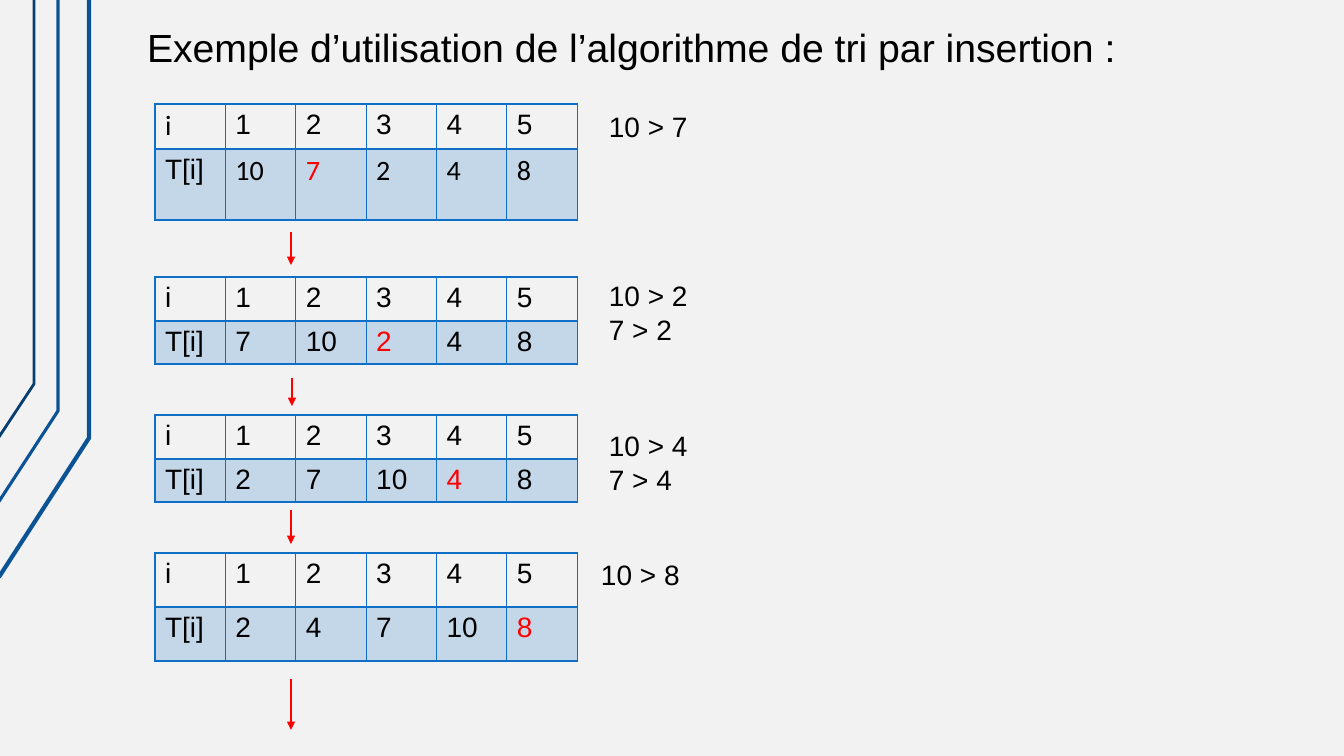
from pptx import Presentation
from pptx.dml.color import RGBColor
from pptx.enum.shapes import MSO_CONNECTOR
from pptx.enum.text import MSO_ANCHOR, PP_ALIGN
from pptx.oxml.ns import qn
from pptx.util import Emu, Pt
from lxml import etree

SCALE = 9071  # EMU per pixel
LEFT = PP_ALIGN.LEFT
TOP = MSO_ANCHOR.TOP
STRAIGHT = MSO_CONNECTOR.STRAIGHT

BLACK, RED, BLUE = "000000", "FF0000", "0F6FC6"
NAVY, DARK, PAPER = "0B5394", "083E6F", "F2F2F2"
COL = 70.4  # table column width

# Outer, middle and inner rail: points, colour, width
RAILS = [
    ([(-1, 577), (89, 438), (89, 0)], NAVY, 3),
    ([(-2, 503), (58, 411), (58, 0)], NAVY, 2.25),
    ([(-1, 437), (34, 384), (34, 0)], DARK, 2),
]
# Each step: table top, row heights, values, column of the key
STEPS = [
    (104, (45, 71), (10, 7, 2, 4, 8), 2),
    (277, (44, 43), (7, 10, 2, 4, 8), 3),
    (415, (44, 43), (2, 7, 10, 4, 8), 4),
    (553, (54, 54), (2, 4, 7, 10, 8), 5),
]
# Each note: box, lines
NOTES = [
    ((599, 105, 313, 194), ["10 > 7"]),
    ((599, 274, 256, 173), ["10 > 2", "7 > 2"]),
    ((599, 424, 217, 173), ["10 > 4", "7 > 4"]),
    ((591, 553, 186, 92), ["10 > 8"]),
]
# Each arrow: x, top, bottom
ARROWS = [(291, 232, 265), (292, 378, 406), (291, 510, 544), (291, 679, 730)]


def px(num):
    """Turn pixels into EMU."""
    return Emu(round(num * SCALE))


def rgb(code):
    """Turn a hex string into a colour."""
    return RGBColor.from_string(code)


def write(frame, lines, size=20, font="Arial", color=BLACK, space=None):
    """Fill a text frame with one paragraph per line."""
    frame.word_wrap = True
    for num, line in enumerate(lines):
        para = frame.paragraphs[0] if num == 0 else frame.add_paragraph()
        para.alignment = LEFT
        para.line_spacing = space
        run = para.add_run()
        run.text = line
        run.font.size = Pt(size)
        run.font.name = font
        run.font.color.rgb = rgb(color)


def head(slide, text):
    """Place and write the title."""
    title = slide.shapes.title
    title.left, title.top, title.width, title.height = map(
        px, (134, 22, 1142, 657))
    frame = title.text_frame
    frame.margin_left = frame.margin_right = px(13)
    frame.margin_top = frame.margin_bottom = px(7)
    frame.vertical_anchor = TOP
    write(frame, [text], size=28, space=0.9)


def rail(slide, points, color, width):
    """Draw one open bent line at the left edge."""
    form = slide.shapes.build_freeform(*points[0], scale=SCALE)
    form.add_line_segments(points[1:], close=False)
    shape = form.convert_to_shape()
    shape.shadow.inherit = False
    shape.fill.background()
    shape.line.color.rgb = rgb(color)
    shape.line.width = Pt(width)


def tint(parent, color, alpha=None):
    """Add a solid fill, with alpha in percent if given."""
    solid = etree.SubElement(parent, qn("a:solidFill"))
    tone = etree.SubElement(solid, qn("a:srgbClr"), val=color)
    if alpha:
        etree.SubElement(tone, qn("a:alpha"), val=str(alpha * 1000))


def style(cell, shade):
    """Give a cell its borders and its fill."""
    props = cell._tc.get_or_add_tcPr()
    for side in "LRTB":
        edge = etree.SubElement(props, qn("a:ln" + side), w=str(Pt(1)))
        tint(edge, BLUE)
    if shade:
        tint(props, BLUE, 20)
    else:
        cell.fill.background()


def grid(slide, top, sizes, values, key, fonts):
    """Draw the array of one step with its key in red."""
    rows = [["i", *range(1, 6)], ["T[i]", *values]]
    frame = slide.shapes.add_table(
        2, 6, px(155), px(top), px(6 * COL), px(sum(sizes)))
    table = frame.table
    table.first_row = table.horz_banding = False
    for col in table.columns:
        col.width = px(COL)
    for r, row in enumerate(rows):
        table.rows[r].height = px(sizes[r])
        for c, item in enumerate(row):
            cell = table.cell(r, c)
            style(cell, r == 1)
            write(cell.text_frame, [str(item)], font=fonts[r][c > 0],
                  color=RED if (r, c) == (1, key) else BLACK)


def note(slide, box, lines):
    """Add the comparisons beside a table."""
    shape = slide.shapes.add_textbox(*map(px, box))
    write(shape.text_frame, lines)


def arrow(slide, x, top, end):
    """Draw a red arrow pointing down."""
    line = slide.shapes.add_connector(
        STRAIGHT, px(x), px(top), px(x), px(end))
    line.line.color.rgb = rgb(RED)
    line.line.width = Pt(2)
    etree.SubElement(line.line._get_or_add_ln(), qn("a:tailEnd"),
                     type="triangle")
    etree.SubElement(line._element.spPr, qn("a:effectLst"))


def main():
    """Build the slide and save it."""
    deck = Presentation()
    deck.slide_width, deck.slide_height = px(1344), px(756)
    slide = deck.slides.add_slide(deck.slide_layouts[5])
    back = slide.background.fill
    back.solid()
    back.fore_color.rgb = rgb(PAPER)

    for item in RAILS:
        rail(slide, *item)
    head(slide, "Exemple d’utilisation de l’algorithme de tri par insertion :")
    plain = (("Arial", "Arial"), ("Arial", "Arial"))
    mixed = (("Calibri", "Arial"), ("Arial", "Calibri"))
    for num, step in enumerate(STEPS):
        grid(slide, *step, plain if num else mixed)
    for item in NOTES:
        note(slide, *item)
    for item in ARROWS:
        arrow(slide, *item)
    deck.save("out.pptx")


main()
